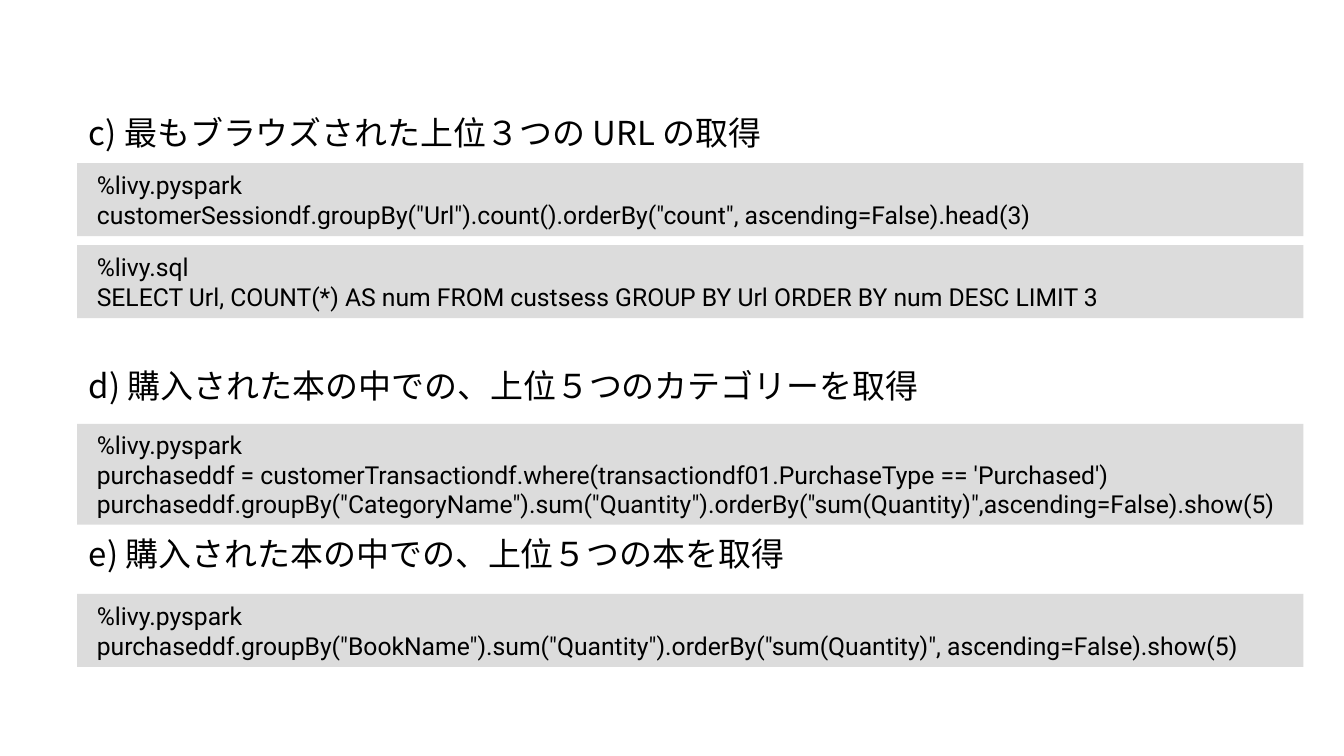
"""Build a slide of query examples: each heading is followed by its code blocks."""
from lxml.etree import SubElement
from pptx import Presentation
from pptx.dml.color import RGBColor
from pptx.enum.shapes import MSO_SHAPE
from pptx.enum.text import MSO_ANCHOR, PP_ALIGN
from pptx.oxml.ns import qn
from pptx.util import Inches, Pt

HEADINGS = [
    (1.09, "c) 最もブラウズされた上位３つの URL の取得"),
    (3.65, "d) 購入された本の中での、上位５つのカテゴリーを取得"),
    (5.35, "e) 購入された本の中での、上位５つの本を取得"),
]
CODE_BLOCKS = [
    (1.65, ["%livy.pyspark",
            'customerSessiondf.groupBy("Url").count().orderBy("count", ascending=False).head(3)']),
    (2.48, ["%livy.sql",
            "SELECT Url, COUNT(*) AS num FROM custsess GROUP BY Url ORDER BY num DESC LIMIT 3"]),
    (4.29, ["%livy.pyspark",
            "purchaseddf = customerTransactiondf.where(transactiondf01.PurchaseType == 'Purchased')",
            'purchaseddf.groupBy("CategoryName").sum("Quantity")'
            '.orderBy("sum(Quantity)",ascending=False).show(5)']),
    (6.01, ["%livy.pyspark",
            'purchaseddf.groupBy("BookName").sum("Quantity")'
            '.orderBy("sum(Quantity)", ascending=False).show(5)']),
]
BLACK = RGBColor(0x00, 0x00, 0x00)
LIGHT_GRAY = RGBColor(0xDC, 0xDC, 0xDC)
HEADING_FONT = {"name": "Noto Sans CJK JP", "size": Pt(24)}
CODE_FONT = {"name": "Roboto", "size": Pt(18)}
HEADING_LEFT, HEADING_WIDTH, HEADING_HEIGHT = 0.9, 12.2, 0.5
CODE_LEFT, CODE_WIDTH = 0.78, 12.41
CODE_PADDING, CODE_LINE = 0.18, 0.28


def write_lines(shape, lines, font_format, inset_x, inset_y):
    frame = shape.text_frame
    frame_format = {
        "word_wrap": True, "vertical_anchor": MSO_ANCHOR.MIDDLE,
        "margin_left": Inches(inset_x), "margin_right": Inches(inset_x),
        "margin_top": Inches(inset_y), "margin_bottom": Inches(inset_y),
    }
    for name, value in frame_format.items():
        setattr(frame, name, value)
    frame.text = "\n".join(lines)
    for paragraph in frame.paragraphs:
        paragraph.alignment = PP_ALIGN.LEFT
        for run in paragraph.runs:
            for name, value in font_format.items():
                setattr(run.font, name, value)
            run.font.color.rgb = BLACK
            SubElement(run.font._element, qn("a:ea"), typeface=font_format["name"])


def add_heading(slide, top, text):
    box = slide.shapes.add_textbox(
        Inches(HEADING_LEFT), Inches(top), Inches(HEADING_WIDTH), Inches(HEADING_HEIGHT))
    write_lines(box, [text], HEADING_FONT, 0, 0)


def add_code_block(slide, top, lines):
    height = CODE_PADDING + CODE_LINE * len(lines)
    block = slide.shapes.add_shape(
        MSO_SHAPE.RECTANGLE, Inches(CODE_LEFT), Inches(top), Inches(CODE_WIDTH), Inches(height))
    block.shadow.inherit = False
    block.fill.solid()
    block.fill.fore_color.rgb = LIGHT_GRAY
    block.line.fill.background()
    write_lines(block, lines, CODE_FONT, 0.2, 0.05)


def main():
    presentation = Presentation()
    presentation.slide_width = Inches(13.6)
    presentation.slide_height = Inches(7.65)
    slide = presentation.slides.add_slide(presentation.slide_layouts[6])
    for top, text in HEADINGS:
        add_heading(slide, top, text)
    for top, lines in CODE_BLOCKS:
        add_code_block(slide, top, lines)
    presentation.save("out.pptx")


if __name__ == "__main__":
    main()
